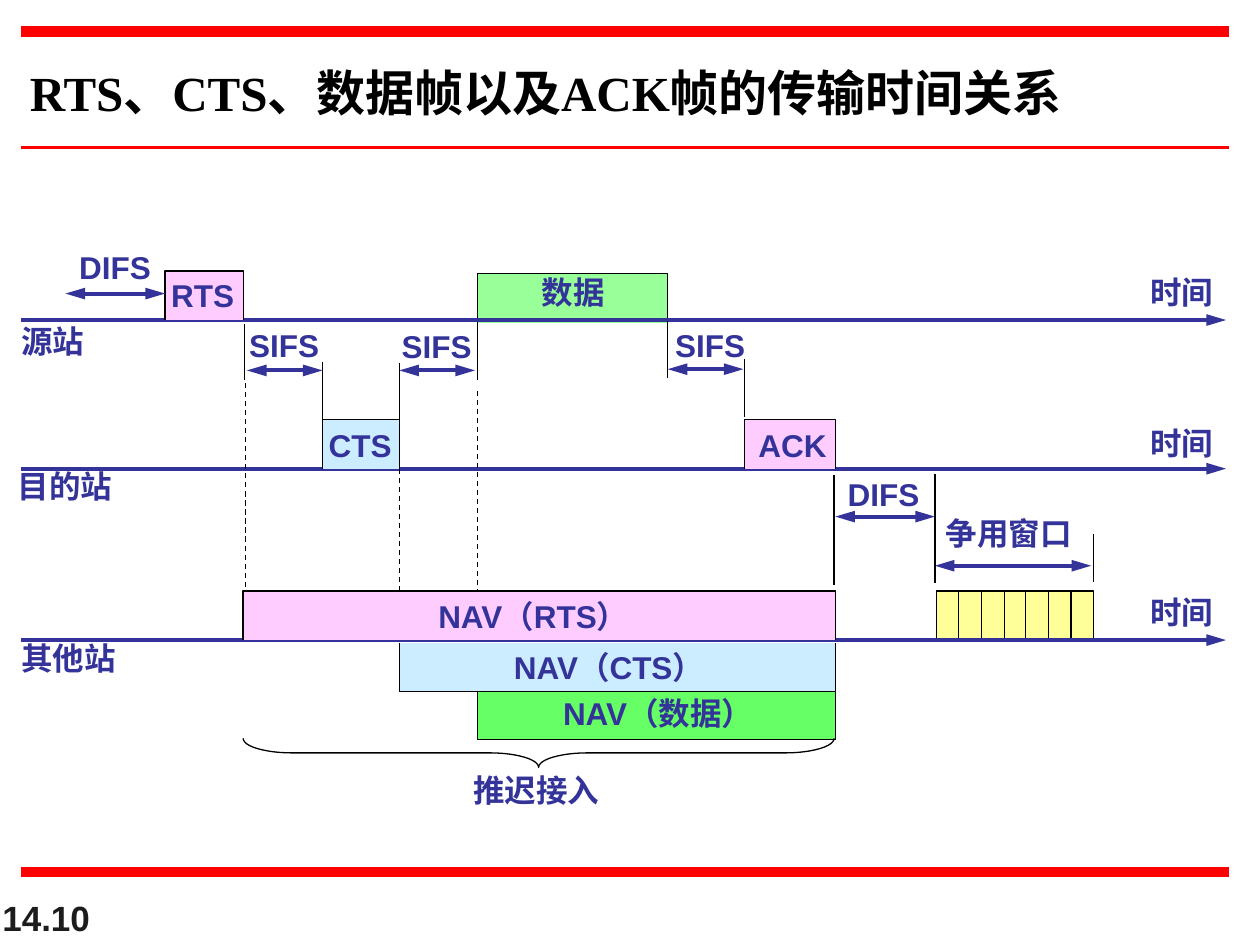
from dataclasses import dataclass

from lxml import etree
from pptx import Presentation
from pptx.dml.color import RGBColor
from pptx.enum.dml import MSO_LINE
from pptx.enum.shapes import MSO_CONNECTOR, MSO_SHAPE
from pptx.enum.text import MSO_ANCHOR, MSO_AUTO_SIZE, PP_ALIGN
from pptx.oxml.ns import qn
from pptx.util import Emu, Pt

STRAIGHT = MSO_CONNECTOR.STRAIGHT
BRACE = MSO_SHAPE.LEFT_BRACE
DASH = MSO_LINE.DASH
TOP, BOTTOM = MSO_ANCHOR.TOP, MSO_ANCHOR.BOTTOM
LEFT, CENTER = PP_ALIGN.LEFT, PP_ALIGN.CENTER
FIT = MSO_AUTO_SIZE.SHAPE_TO_FIT_TEXT

SCALE = 9144  # 100 px to the inch
INK, BLACK, RED, GRAY = "333399", "000000", "FF0000", "1C1C1C"
PINK, SKY, MINT, GREEN, YELLOW = "FFCCFF", "CCECFF", "99FF99", "66FF66", "FFFF99"


def px(n):
    return Emu(n * SCALE)


def color(code):
    return RGBColor.from_string(code)


@dataclass
class Pane:
    """A region of the slide; its parts are placed from its top left corner."""
    shapes: object
    x: int
    y: int
    w: int
    h: int = 0

    def line(self, x1, y1, x2, y2, code=BLACK, width=0.75, ends=(), dash=None):
        """Draw a line; ends names the arrowhead tags it carries."""
        points = (self.x + x1, self.y + y1, self.x + x2, self.y + y2)
        link = self.shapes.add_connector(STRAIGHT, *map(px, points))
        link.line.color.rgb = color(code)
        link.line.width = Pt(width)
        if dash:
            link.line.dash_style = dash
        for end in ends:
            etree.SubElement(link.line._get_or_add_ln(), qn("a:" + end),
                             type="triangle", w="med", len="lg")
        etree.SubElement(link._element.spPr, qn("a:effectLst"))

    def text(self, x, y, w, words, h=40, size=18, code=INK, font="Arial",
             align=LEFT, anchor=TOP, fit=True):
        box = self.shapes.add_textbox(px(self.x + x), px(self.y + y), px(w), px(h))
        frame = box.text_frame
        frame.word_wrap = False
        frame.vertical_anchor = anchor
        if fit:
            frame.auto_size = FIT
        par = frame.paragraphs[0]
        par.alignment = align
        run = par.add_run()
        run.text = words
        run.font.name = font
        run.font.size = Pt(size)
        run.font.bold = True
        run.font.color.rgb = color(code)

    def block(self, x, y, w, h, fill, down=False):
        """Draw a filled box with no edge on the side that meets the axis."""
        x, y = self.x + x, self.y + y
        base, far = (y, y + h) if down else (y + h, y)
        path = self.shapes.build_freeform(x, base, scale=SCALE)
        path.add_line_segments([(x, far), (x + w, far), (x + w, base)], close=False)
        shape = path.convert_to_shape()
        shape.shadow.inherit = False
        shape.fill.solid()
        shape.fill.fore_color.rgb = color(fill)
        shape.line.color.rgb = color(BLACK)
        shape.line.width = Pt(0.75)

    def gap(self, x1, x2, y, words, x, top, w):
        """Draw a labelled double arrow."""
        self.line(x1, y, x2, y, INK, 2.25, ("headEnd", "tailEnd"))
        self.text(x, top, w, words)

    def ticks(self, rows, dash=None):
        """Draw upright lines given as x, top and bottom."""
        for x, top, base in rows:
            self.line(x, top, x, base, dash=dash)

    def axis(self, name, x, y, w, rise=42):
        """Draw a time axis and the name of its station."""
        self.line(0, 0, self.w, 0, INK, 2.25, ("tailEnd",))
        self.text(self.w - 70, -rise, 70, "时间")
        self.text(x, y, w, name, align=CENTER)


def frame(pane):
    for y, width in ((0, 6), (92, 1.5), (pane.h, 6)):
        pane.line(0, y, pane.w, y, RED, width)
    pane.text(-28, 20, 888, "RTS、CTS、数据帧以及ACK帧的传输时间关系", h=73, size=28,
              code=BLACK, font="Times New Roman", align=CENTER, fit=False)
    pane.text(-25, pane.h + 8, 208, "14.10", h=50, size=20, code=GRAY,
              anchor=BOTTOM, fit=False)


def source(pane):
    pane.block(362, -37, 151, 39, MINT)
    pane.axis("源站", -10, -3, 70)
    pane.block(114, -39, 62, 39, PINK)
    pane.text(109, -40, 70, "RTS")
    pane.text(403, -42, 70, "数据", align=CENTER)
    pane.gap(35, 114, -21, "DIFS", 36, -62, 77)
    for x, y, left, top in ((179, 40, 171, 0), (300, 40, 292, 1), (513, 39, 509, 0)):
        pane.gap(x, x + 60, y, "SIFS", left, top, 80)
    pane.ticks([(177, 3, 48), (362, 2, 48), (513, 1, 46)])


def target(pane):
    pane.axis("目的站", -13, -6, 95, rise=40)
    pane.block(239, -39, 61, 39, SKY)
    pane.text(234, -39, 70, "CTS")
    pane.block(574, -39, 72, 39, PINK)
    pane.text(575, -39, 74, "ACK", align=CENTER)
    pane.gap(646, 725, 38, "DIFS", 646, 0, 77)
    pane.gap(725, 849, 77, "争用窗口", 724, 31, 120)
    pane.ticks([(239, -85, -39), (300, -84, -39), (574, -87, -41),
                (645, 5, 92), (725, 4, 91), (851, 52, 90)])
    pane.ticks([(178, -68, 94), (300, 0, 100), (362, -62, 100)], DASH)


def others(pane):
    left, span, slots = 726, 125, 7
    pane.block(left, -39, span, 39, YELLOW)
    pane.ticks([(left + round(k * span / slots), -39, 0) for k in range(1, slots)])
    pane.axis("其他站", -10, -6, 95)
    navs = ((176, -39, 39, PINK, "NAV（RTS）", 321, -39, 191),
            (300, 2, 39, SKY, "NAV（CTS）", 381, 1, 191),
            (362, 41, 38, GREEN, "NAV（数据）", 420, 38, 179))
    for x, y, h, fill, words, start, top, w in navs:
        pane.block(x, y, 646 - x, h, fill, down=y > 0)
        pane.text(start, top, w, words)
    brace = pane.shapes.add_shape(BRACE, px(pane.x + 399), px(pane.y - 145),
                                  px(23), px(469))
    brace.rotation = 270
    brace.adjustments[0] = 1.7
    brace.shadow.inherit = False
    brace.fill.background()
    brace.line.color.rgb = color(BLACK)
    brace.line.width = Pt(0.75)
    pane.text(349, 99, 120, "推迟接入")


def main():
    deck = Presentation()
    deck.slide_width, deck.slide_height = px(1000), px(750)
    shapes = deck.slides.add_slide(deck.slide_layouts[6]).shapes
    frame(Pane(shapes, 17, 25, 958, 667))
    for draw, y in ((source, 254), (target, 372), (others, 508)):
        draw(Pane(shapes, 17, y, 956))
    deck.save("out.pptx")


if __name__ == "__main__":
    main()
